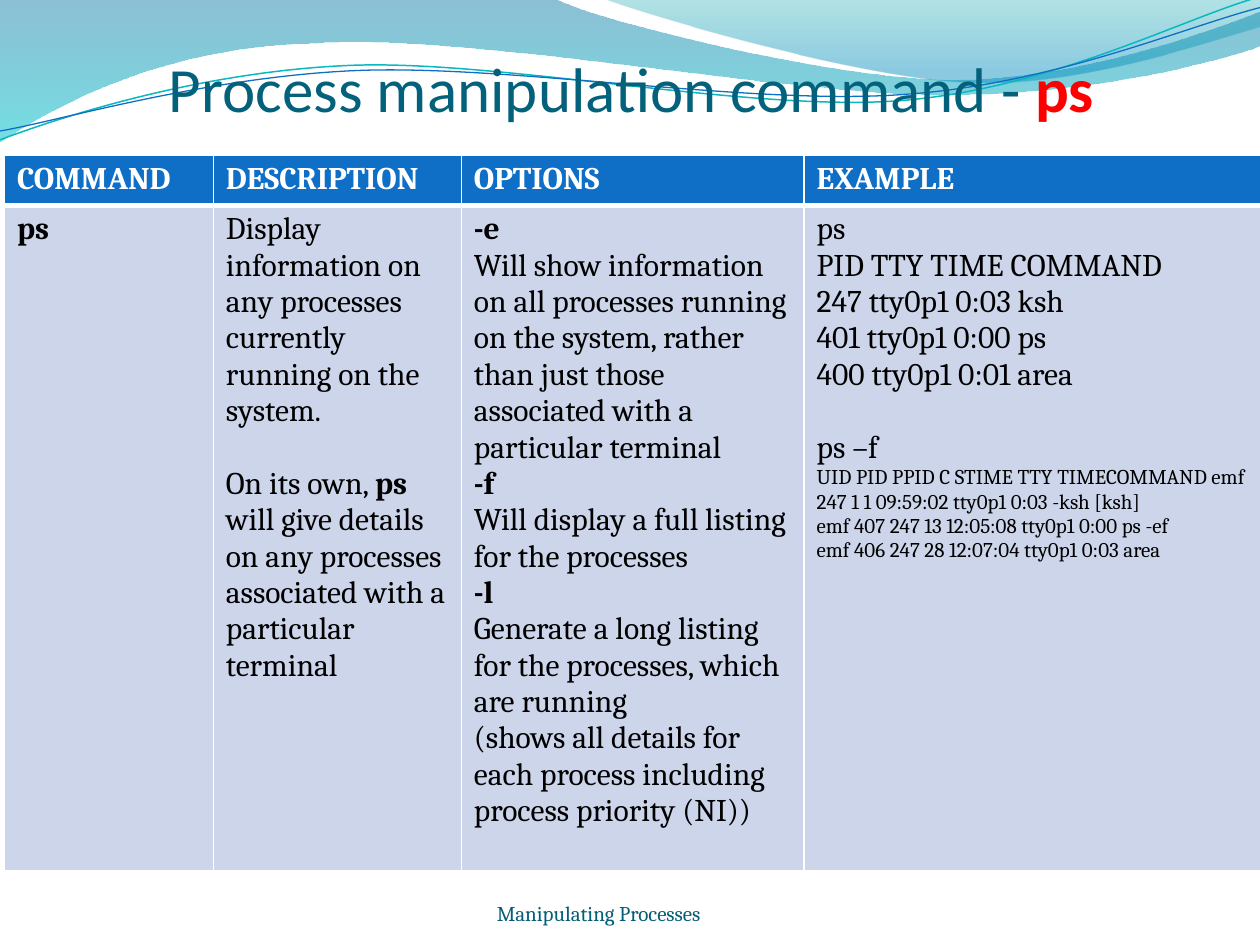
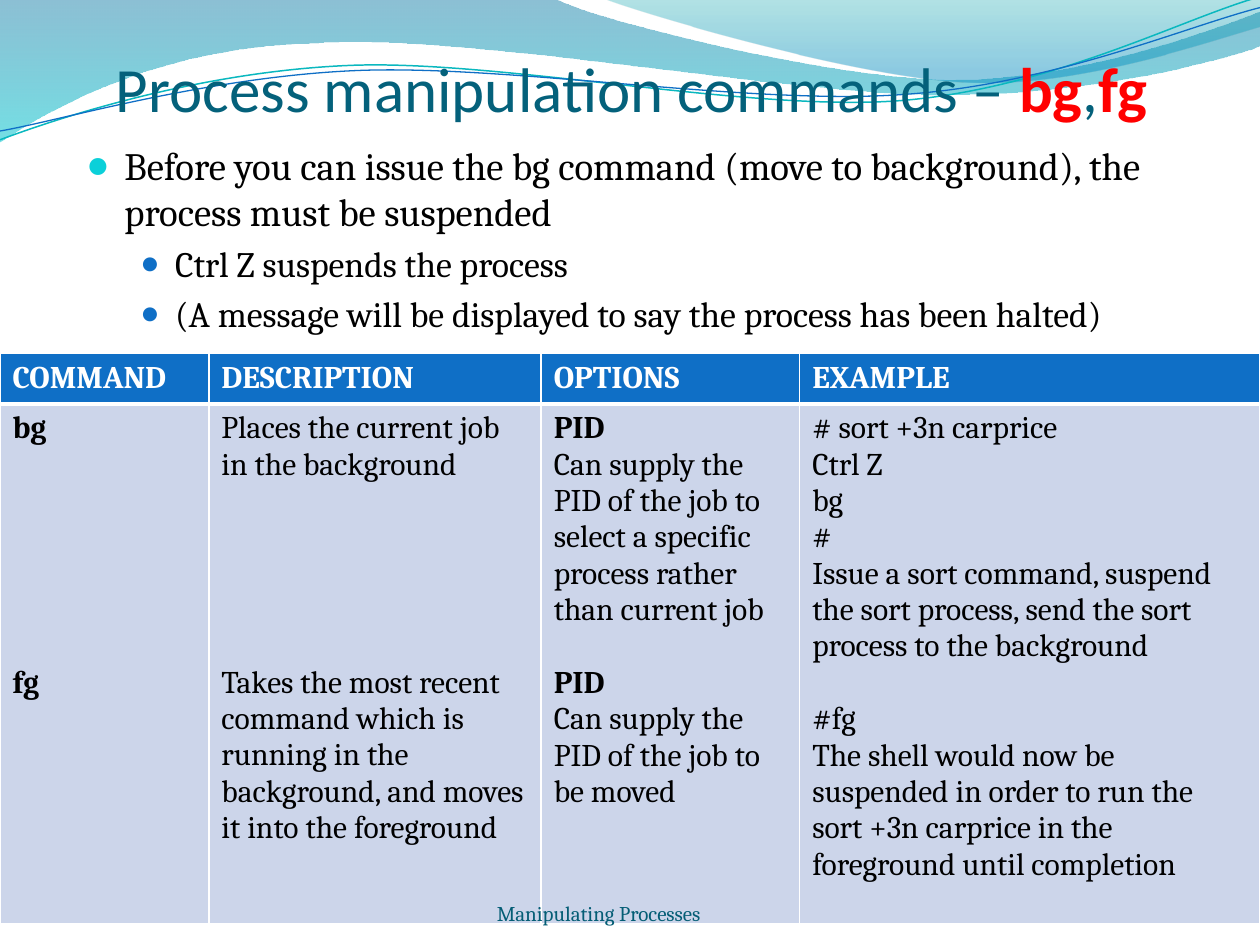
from dataclasses import dataclass
from math import cos, radians, sin

from lxml.etree import SubElement
from pptx import Presentation
from pptx.dml.color import RGBColor
from pptx.enum.text import MSO_ANCHOR, PP_ALIGN
from pptx.oxml.ns import qn
from pptx.util import Cm, Pt


@dataclass(frozen=True)
class Theme:
    title_font: str = "Calibri"
    body_font: str = "Cambria"
    title: str = "04617B"
    accent: str = "FF0000"
    text: str = "000000"
    footer: str = "045D75"
    header_fill: str = "0F6FC6"
    body_fill: str = "CCD5EA"
    white: str = "FFFFFF"
    title_size: float = 36
    table_size: float = 18
    small_size: float = 12
    table_line: float = 20.75  # height of one table text line, in points


THEME = Theme()

# Content. Text between asterisks is emphasised. A table paragraph is a string
# or (text, free lines above, size).
FOOTER = "Manipulating Processes"
HEADINGS = ["COMMAND", "DESCRIPTION", "OPTIONS", "EXAMPLE"]
SMALL = THEME.small_size
NORMAL = THEME.table_size

SLIDES = [
    {
        "title": "Process manipulation command - *ps*",
        "bullets": [],
        "table_at": (0.09, 3.12),
        "columns": [4.21, 5.0, 6.91, 9.27],
        "body_height": 13.42,
        "cells": [
            ["*ps*"],
            [
                "Display information on any processes currently running on the system.",
                ("On its own, *ps* will give details on any processes associated "
                 "with a particular terminal", 1, NORMAL),
            ],
            [
                "*-e*",
                "Will show information on all processes running on the system, "
                "rather than just those associated with a particular terminal",
                "*-f*",
                "Will display a full listing for the processes",
                "*-l*",
                "Generate a long listing for the processes, which are running",
                "(shows all details for each process including process priority (NI))",
            ],
            [
                "ps",
                "PID TTY TIME COMMAND",
                "247 tty0p1 0:03 ksh",
                "401 tty0p1 0:00 ps",
                "400 tty0p1 0:01 area",
                ("ps –f", 1, NORMAL),
                ("UID PID PPID C STIME TTY TIMECOMMAND emf 247 1 1 09:59:02 "
                 "tty0p1 0:03 -ksh [ksh]", 0, SMALL),
                ("emf 407 247 13 12:05:08 tty0p1 0:00 ps -ef", 0, SMALL),
                ("emf 406 247 28 12:07:04 tty0p1 0:03 area", 0, SMALL),
            ],
        ],
    },
    {
        "title": "Process manipulation commands – *bg*,*fg*",
        "bullets": [
            (0, "Before you can issue the bg command (move to background), "
                "the process must be suspended"),
            (1, "Ctrl Z suspends the process"),
            (1, "(A message will be displayed to say the process has been halted)"),
        ],
        "table_at": (0, 7.13),
        "columns": [4.21, 6.7, 5.21, 9.27],
        "body_height": 10.48,
        "cells": [
            ["*bg*", ("*fg*", 6, NORMAL)],
            [
                "Places the current job in the background",
                ("Takes the most recent command which is running in the "
                 "background, and moves it into the foreground", 5, NORMAL),
            ],
            [
                "*PID*",
                "Can supply the PID of the job to select a specific process "
                "rather than current job",
                ("*PID*", 1, NORMAL),
                "Can supply the PID of the job to be moved",
            ],
            [
                "# sort +3n carprice",
                "Ctrl Z",
                "bg",
                "#",
                "Issue a sort command, suspend the sort process, send the sort "
                "process to the background",
                ("#fg", 1, NORMAL),
                "The shell would now be suspended in order to run the sort +3n "
                "carprice in the foreground until completion",
            ],
        ],
    },
]

# Bullet levels: left margin, hanging indent, size, space before, colour, bullet %
BULLET_LEVELS = [
    (0.76, 0.76, 22.1, 4.4, "0BD0D9", 95),
    (1.78, 0.69, 20.4, 4.1, "0F6FC6", 85),
]

# Waves, in tenths of the slide width: box (left, top, width, height), then steps.
# A point pair is a straight step, six numbers are a curve.
GRID = 2.54
WAVE_TILT = 357.3
WAVE_BANDS = [
    ((-0.01, -0.01, 10.02, 1.14),
     [(0, 0), (4.4, -0.01), (4.76, 0.17, 6.64, 0.63, 7.58, 0.63),
      (8.53, 0.63, 9.58, 0.26, 10, 0.09), (10.01, 0.36),
      (9.83, 0.44, 8.7, 0.76, 7.46, 0.75), (6.22, 0.75, 3.82, 0.28, 2.57, 0.34),
      (1.29, 0.36, 0.46, 0.83, -0.01, 1.13), (0, 0)],
     [(0, "0074A1", 45), (1, "00C6CF", 55)]),
    ((4.79, -0.01, 5.21, 0.7),
     [(4.79, -0.01), (5.09, 0.11, 6.82, 0.62, 7.69, 0.65),
      (8.56, 0.69, 9.61, 0.32, 10, 0.21), (10, 0), (4.79, -0.01)],
     [(0, "00A1A9", 30), (0.8, "008BBF", 45)]),
]
WAVE_LINES = [
    ((-0.02, 0.22, 10.02, 0.71),
     [(0, 1.11), (0.48, 0.93, 1.58, 0.57, 2.77, 0.52),
      (3.95, 0.47, 5.93, 0.89, 7.13, 0.8), (8.33, 0.71, 9.38, 0.15, 9.98, -0.02)],
     "0AB8BF", 0.85),
    ((-0.02, 0.3, 10.03, 0.58),
     [(0, 1.04), (0.47, 0.96, 1.64, 0.61, 2.83, 0.56),
      (4.03, 0.51, 5.97, 0.84, 7.17, 0.75), (8.36, 0.67, 9.41, 0.21, 10, 0.06)],
     "0F6FC6", 0.75),
]


def color(value):
    return RGBColor.from_string(value)


# Waves
def add_outline(slide, box, steps, rotation=0):
    """Span the box with a freeform, then give its outline true curves."""
    left, top, width, height = box
    builder = slide.shapes.build_freeform(Cm(left * GRID), Cm(top * GRID))
    builder.add_line_segments(
        [(Cm((left + width) * GRID), Cm((top + height) * GRID))], close=False)
    shape = builder.convert_to_shape()
    shape.shadow.inherit = False
    shape.rotation = rotation

    turn = radians(-rotation)
    outline = next(shape.element.iter(qn("a:path")))
    for child in list(outline):
        outline.remove(child)
    for index, step in enumerate(steps):
        kind = "cubicBezTo" if len(step) == 6 else "lnTo" if index else "moveTo"
        segment = SubElement(outline, qn(f"a:{kind}"))
        for x, y in zip(step[::2], step[1::2]):
            across, down = x - left - width / 2, y - top - height / 2
            local_x = width / 2 + across * cos(turn) - down * sin(turn)
            local_y = height / 2 + across * sin(turn) + down * cos(turn)
            SubElement(segment, qn("a:pt"),
                       x=str(int(Cm(local_x * GRID))), y=str(int(Cm(local_y * GRID))))
    if steps[0] == steps[-1]:
        SubElement(outline, qn("a:close"))
    return shape


def add_waves(slide):
    for box, steps, stops in WAVE_BANDS:
        shape = add_outline(slide, box, steps)
        shape.line.fill.background()
        shape.fill.gradient()
        shape.fill.gradient_angle = 270
        for stop, (position, value, _) in zip(shape.fill.gradient_stops, stops):
            stop.position = position
            stop.color.rgb = color(value)
        for element, (_, _, opacity) in zip(shape.element.iter(qn("a:gs")), stops):
            SubElement(element[0], qn("a:alpha"), val=str(opacity * 1000))
    for box, steps, value, width in WAVE_LINES:
        shape = add_outline(slide, box, steps, WAVE_TILT)
        shape.fill.background()
        shape.line.color.rgb = color(value)
        shape.line.width = Pt(width)


# Text
def write(paragraph, marked, font, size, value, accent=None, bold=False):
    for index, piece in enumerate(marked.split("*")):
        if not piece:
            continue
        emphasised = index % 2 == 1
        run = paragraph.add_run()
        run.text = piece
        run.font.name = font
        run.font.size = Pt(size)
        run.font.bold = bold or emphasised
        run.font.color.rgb = color(accent if accent and emphasised else value)


def add_box(slide, left, top, width, height, margins, anchor):
    frame = slide.shapes.add_textbox(Cm(left), Cm(top), Cm(width), Cm(height)).text_frame
    frame.word_wrap = True
    frame.vertical_anchor = anchor
    (frame.margin_left, frame.margin_top,
     frame.margin_right, frame.margin_bottom) = map(Cm, margins)
    return frame


def paragraphs(frame, items):
    """Pair each item with its paragraph, adding paragraphs as needed."""
    for index, item in enumerate(items):
        yield (frame.add_paragraph() if index else frame.paragraphs[0]), item


def add_title(slide, title):
    frame = add_box(slide, 1.3, 0.73, 22.86, 1.8, (0, 0.13, 0, 0), MSO_ANCHOR.BOTTOM)
    frame.paragraphs[0].alignment = PP_ALIGN.CENTER
    write(frame.paragraphs[0], title, THEME.title_font, THEME.title_size,
          THEME.title, THEME.accent)


def add_footer(slide):
    frame = add_box(slide, 7.41, 17.65, 9.32, 1.02, (0, 0, 0, 0), MSO_ANCHOR.BOTTOM)
    frame.paragraphs[0].alignment = PP_ALIGN.CENTER
    write(frame.paragraphs[0], FOOTER, THEME.body_font, THEME.small_size, THEME.footer)


def add_bullets(slide, bullets):
    frame = add_box(slide, 1.5, 2.72, 22.86, 4.39, (0.25, 0.13, 0.25, 0.13), MSO_ANCHOR.TOP)
    for paragraph, (level, text) in paragraphs(frame, bullets):
        margin, hanging, size, space, value, percent = BULLET_LEVELS[level]
        properties = paragraph._p.get_or_add_pPr()
        properties.set("marL", str(Cm(margin)))
        properties.set("indent", str(-Cm(hanging)))
        bullet_color = SubElement(properties, qn("a:buClr"))
        SubElement(bullet_color, qn("a:srgbClr"), val=value)
        SubElement(properties, qn("a:buSzPct"), val=str(percent * 1000))
        SubElement(properties, qn("a:buFont"), typeface=THEME.title_font)
        SubElement(properties, qn("a:buChar"), char="●")
        paragraph.level = level
        if level:
            paragraph.space_before = Pt(space)
        write(paragraph, text, THEME.body_font, size, THEME.text)


# Table
def set_borders(cell, widths):
    properties = cell._tc.get_or_add_tcPr()
    for index, (side, width) in enumerate(zip("LRTB", widths)):
        line = SubElement(properties, qn(f"a:ln{side}"), w=str(Pt(width)))
        fill = SubElement(line, qn("a:solidFill"))
        SubElement(fill, qn("a:srgbClr"), val=THEME.white)
        properties.insert(index, line)


def fill_cell(cell, items, fill, value, bold, borders):
    cell.fill.solid()
    cell.fill.fore_color.rgb = color(fill)
    set_borders(cell, borders)
    for paragraph, item in paragraphs(cell.text_frame, items):
        text, gap, size = (item, 0, NORMAL) if isinstance(item, str) else item
        if gap:
            paragraph.space_before = Pt(gap * THEME.table_line)
        write(paragraph, text, THEME.body_font, size, value, bold=bold)


def add_command_table(slide, content):
    heights = [0.98, content["body_height"]]
    left, top = content["table_at"]
    table = slide.shapes.add_table(
        2, len(HEADINGS), Cm(left), Cm(top),
        Cm(sum(content["columns"])), Cm(sum(heights))).table
    for row, height in zip(table.rows, heights):
        row.height = Cm(height)
    for index, width in enumerate(content["columns"]):
        table.columns[index].width = Cm(width)
        fill_cell(table.cell(0, index), [HEADINGS[index]], THEME.header_fill,
                  THEME.white, True, (1, 1, 1, 3))
        fill_cell(table.cell(1, index), content["cells"][index], THEME.body_fill,
                  THEME.text, False, (1, 1, 1, 1))


def main():
    presentation = Presentation()
    presentation.slide_width, presentation.slide_height = Cm(25.4), Cm(19.05)
    for content in SLIDES:
        slide = presentation.slides.add_slide(presentation.slide_layouts[6])
        add_waves(slide)
        add_title(slide, content["title"])
        add_command_table(slide, content)
        if content["bullets"]:
            add_bullets(slide, content["bullets"])
        add_footer(slide)
    presentation.save("out.pptx")


if __name__ == "__main__":
    main()
